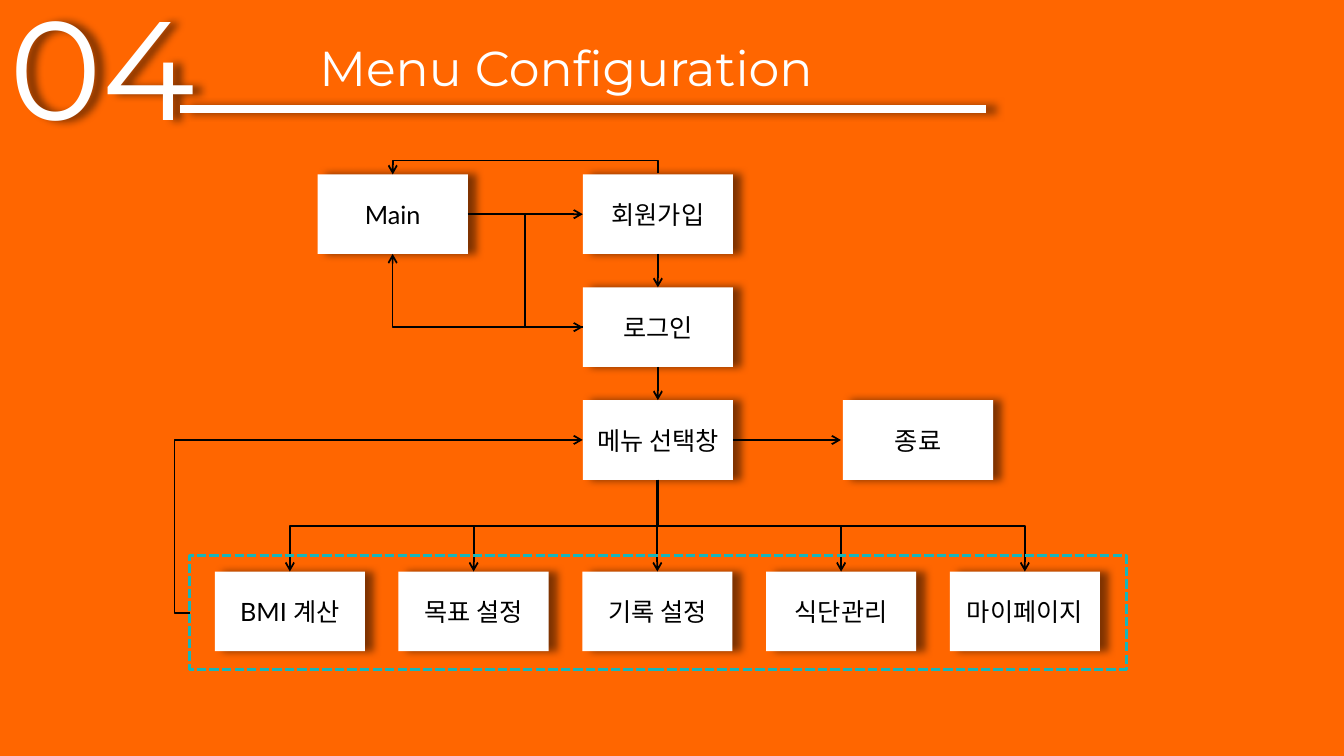
import pptx
import pptx.dml.color
import pptx.enum.dml
import pptx.enum.shapes
import pptx.enum.text
import pptx.oxml
import pptx.oxml.ns
import pptx.util

Inches = pptx.util.Inches
Pt = pptx.util.Pt
CONNECTOR = pptx.enum.shapes.MSO_CONNECTOR
RECTANGLE = pptx.enum.shapes.MSO_SHAPE.RECTANGLE
ALIGN = pptx.enum.text.PP_ALIGN
qn = pptx.oxml.ns.qn

COLORS = {"orange": "FF6600", "white": "FFFFFF", "black": "000000", "teal": "17B5BA"}
BOX_WIDTH, BOX_HEIGHT = 1.49, 0.79


def rgb(name):
    return pptx.dml.color.RGBColor.from_string(COLORS[name])


class MenuSlide:
    def __init__(self, presentation):
        self.slide = presentation.slides.add_slide(presentation.slide_layouts[6])
        self.shapes = self.slide.shapes
        background = self.slide.background.fill
        background.solid()
        background.fore_color.rgb = rgb("orange")

    def effects(self, shape, shadow):
        properties = shape._element.spPr
        for old in properties.findall(qn("a:effectLst")):
            properties.remove(old)
        effect = pptx.oxml.parse_xml(f'<a:effectLst {pptx.oxml.ns.nsdecls("a")}/>')
        if shadow:
            outer = effect.makeelement(
                qn("a:outerShdw"),
                {"blurRad": str(Pt(6)), "dist": str(Pt(6)), "dir": "0",
                 "algn": "l", "rotWithShape": "0"})
            color = outer.makeelement(qn("a:srgbClr"), {"val": COLORS["black"]})
            color.append(color.makeelement(qn("a:alpha"), {"val": "50000"}))
            outer.append(color)
            effect.append(outer)
        properties.append(effect)

    def label(self, shape, text, size, font, color, align):
        shape.text_frame.text = text
        paragraph = shape.text_frame.paragraphs[0]
        paragraph.alignment = align
        for run in paragraph.runs:
            run.font.size = Pt(size)
            run.font.name = font
            run.font.color.rgb = rgb(color)

    def heading(self, text, left, top, width, height, size, align, shadow=False):
        shape = self.shapes.add_textbox(
            Inches(left), Inches(top), Inches(width), Inches(height))
        shape.text_frame.word_wrap = True
        shape.text_frame.auto_size = pptx.enum.text.MSO_AUTO_SIZE.SHAPE_TO_FIT_TEXT
        self.label(shape, text, size, "Montserrat", "white", align)
        if shadow:
            self.effects(shape, True)

    def box(self, text, left, top):
        shape = self.shapes.add_shape(
            RECTANGLE, Inches(left), Inches(top), Inches(BOX_WIDTH), Inches(BOX_HEIGHT))
        shape.fill.solid()
        shape.fill.fore_color.rgb = rgb("white")
        shape.line.fill.background()
        self.effects(shape, True)
        shape.text_frame.vertical_anchor = pptx.enum.text.MSO_ANCHOR.MIDDLE
        self.label(shape, text, 18, "Lato", "black", ALIGN.CENTER)

    def frame(self, left, top, width, height):
        shape = self.shapes.add_shape(
            RECTANGLE, Inches(left), Inches(top), Inches(width), Inches(height))
        shape.shadow.inherit = False
        shape.fill.background()
        shape.line.color.rgb = rgb("teal")
        shape.line.width = Pt(2.25)
        shape.line.dash_style = pptx.enum.dml.MSO_LINE.SQUARE_DOT

    def line(self, start, end, kind=CONNECTOR.STRAIGHT, color="black", width=1.25,
             shadow=False, arrow=True):
        connector = self.shapes.add_connector(
            kind, *(Inches(value) for value in (*start, *end)))
        connector.line.color.rgb = rgb(color)
        connector.line.width = Pt(width)
        if arrow:
            outline = connector.line._get_or_add_ln()
            outline.append(outline.makeelement(qn("a:tailEnd"), {"type": "arrow"}))
        self.effects(connector, shadow)
        return connector

    def elbow(self, start, end, turn, vertical=False):
        (x1, y1), (x2, y2) = start, end
        if vertical:
            middle_x, middle_y = (x1 + x2) / 2, (y1 + y2) / 2
            half_x, half_y = (x2 - x1) / 2, (y2 - y1) / 2
            connector = self.line((middle_x - half_y, middle_y + half_x),
                                  (middle_x + half_y, middle_y - half_x), CONNECTOR.ELBOW)
            connector._element.spPr.find(qn("a:xfrm")).set("rot", "5400000")
            ratio = (turn - y1) / (y2 - y1)
        else:
            connector = self.line(start, end, CONNECTOR.ELBOW)
            ratio = (turn - x1) / (x2 - x1)
        guides = connector._element.spPr.find(qn("a:prstGeom")).get_or_add_avLst()
        guides.append(guides.makeelement(
            qn("a:gd"), {"name": "adj1", "fmla": f"val {round(ratio * 100000)}"}))

    def corner(self, start, end):
        connector = self.line(start, end, CONNECTOR.ELBOW)
        connector._element.spPr.find(qn("a:prstGeom")).set("prst", "bentConnector2")


def main():
    presentation = pptx.Presentation()
    presentation.slide_width = Inches(13.33)
    presentation.slide_height = Inches(7.5)
    menu = MenuSlide(presentation)

    menu.heading("04", 0, -0.24, 2.38, 1.77, 100, ALIGN.LEFT, shadow=True)
    menu.line((1.79, 1.08), (9.78, 1.08), color="white", width=6, shadow=True, arrow=False)
    menu.heading("Menu Configuration", 2.57, 0.32, 6.09, 0.68, 35, ALIGN.CENTER)

    main_left, center_left, exit_left = 3.15, 5.78, 8.36
    rows = [1.73, 2.85, 3.97]
    signup_y, login_y, select_y = (top + BOX_HEIGHT / 2 for top in rows)
    main_x, center_x = (left + BOX_WIDTH / 2 for left in (main_left, center_left))
    main_right = main_left + BOX_WIDTH

    for text, top in zip(["회원가입", "로그인", "메뉴 선택창"], rows):
        menu.box(text, center_left, top)
    menu.box("Main", main_left, rows[0])
    menu.box("종료", exit_left, rows[2])

    select_bottom = rows[2] + BOX_HEIGHT
    submenu_top, submenu_left, submenu_step = 5.67, 2.13, (9.42 - 2.13) / 4
    submenus = ["BMI 계산", "목표 설정", "기록 설정", "식단관리", "마이페이지"]
    for index, text in enumerate(submenus):
        left = submenu_left + index * submenu_step
        menu.box(text, left, submenu_top)
        start, end = (center_x, select_bottom), (left + BOX_WIDTH / 2, submenu_top)
        if index == 2:
            menu.line((end[0], select_bottom), end)
        else:
            menu.elbow(start, end, (select_bottom + submenu_top) / 2, vertical=True)
    menu.frame(1.88, 5.51, 9.29, 1.13)

    for upper, lower in zip(rows, rows[1:]):
        menu.line((center_x, upper + BOX_HEIGHT), (center_x, lower))
    menu.line((main_right, signup_y), (center_left, signup_y))
    menu.line((center_left + BOX_WIDTH, select_y), (exit_left - 0.02, select_y))
    menu.elbow((main_right, signup_y), (center_left, login_y), (main_right + center_left) / 2)
    menu.elbow((center_x, rows[0] - 0.01), (main_x, rows[0]), 1.59, vertical=True)
    menu.elbow((1.88, 6.08), (center_left, select_y), 1.73)
    menu.corner((center_left, login_y), (main_x, rows[0] + BOX_HEIGHT))

    presentation.save("out.pptx")


if __name__ == "__main__":
    main()
